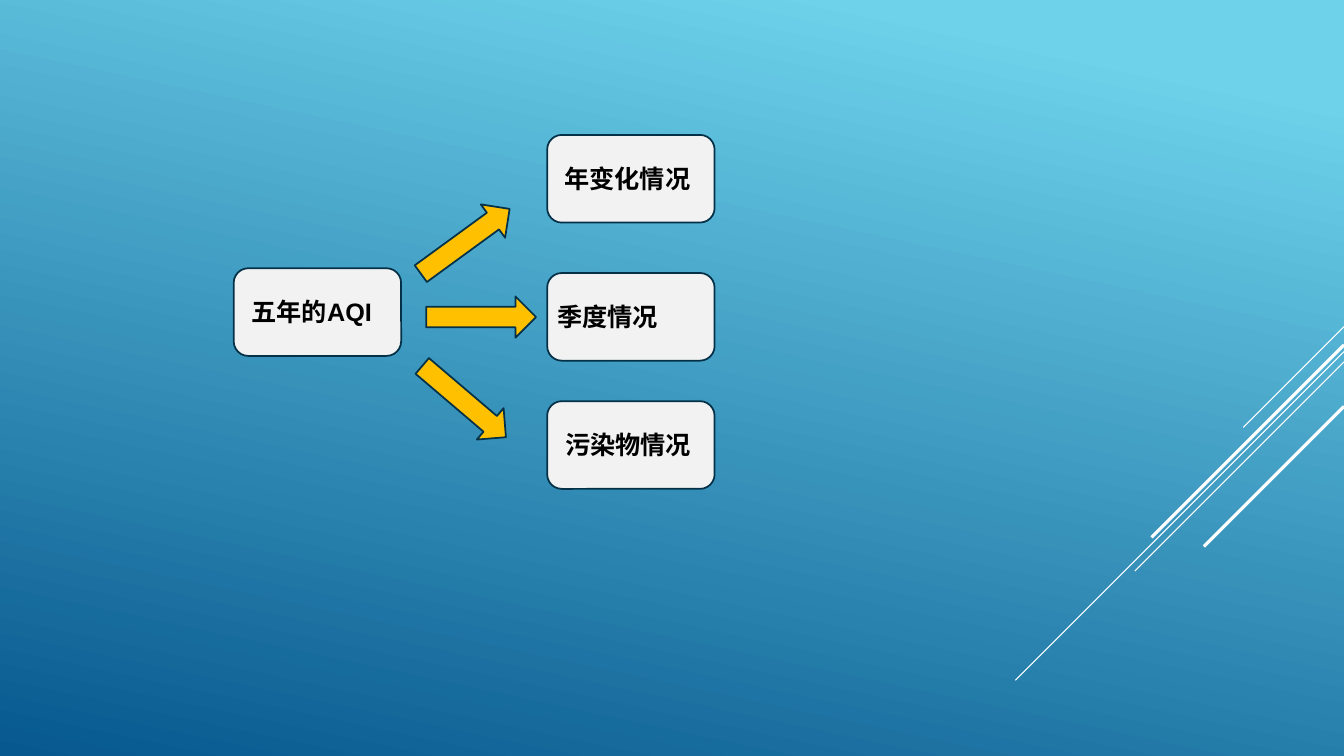
from lxml import etree
from pptx import Presentation
from pptx.dml.color import RGBColor
from pptx.enum.shapes import MSO_CONNECTOR, MSO_SHAPE
from pptx.enum.text import MSO_AUTO_SIZE
from pptx.oxml.ns import qn
from pptx.util import Cm, Pt

ARROW = MSO_SHAPE.RIGHT_ARROW
ROUND = MSO_SHAPE.ROUNDED_RECTANGLE
LINE = MSO_CONNECTOR.STRAIGHT
GROW = MSO_AUTO_SIZE.SHAPE_TO_FIT_TEXT

SKY = RGBColor(0x6E, 0xD2, 0xEB)
DEEP = RGBColor(0x06, 0x58, 0x8E)
WHITE = RGBColor(0xFF, 0xFF, 0xFF)
BLACK = RGBColor(0, 0, 0)
GOLD = RGBColor(0xFF, 0xC0, 0x00)
PALE = RGBColor(0xF2, 0xF2, 0xF2)
NAVY = RGBColor(0x04, 0x31, 0x48)

WIDE, HIGH = 33.87, 19.05
LEFT, RIGHT = 5.89, 13.79

STREAKS = [(8.23, 2.54, 0.75), (8.86, 8.28, 0.75), (9.12, 5.27, 0.75),
           (8.69, 4.85, 2.25), (10.24, 3.53, 2.25)]
ARROWS = [(10.34, 5.56, 323.9), (10.74, 7.47, 0), (10.31, 9.6, 40.4)]
CARDS = [(LEFT, 6.76, 0.2, 3.84, "五年的AQI", "Arial"),
         (RIGHT, 3.4, 0.18, 3.78, "年变化情况", "Quicksand"),
         (RIGHT, 6.88, 0, 4.67, "季度情况", "Quicksand"),
         (RIGHT, 10.11, 0.2, 3.78, "污染物情况", "Quicksand")]


def paint(slide):
    """Fill the background with a slanted blue gradient."""
    fill = slide.background.fill
    fill.gradient()
    fill.gradient_angle = 258
    for stop, (place, color) in zip(fill.gradient_stops, [(0.1, SKY), (1, DEEP)]):
        stop.position = place
        stop.color.rgb = color


def add_streak(shapes, top, span, weight):
    """Draw a diagonal white line down from the right edge."""
    line = shapes.add_connector(LINE, Cm(WIDE), Cm(top), Cm(WIDE - span), Cm(top + span))
    line.line.color.rgb = WHITE
    line.line.width = Pt(weight)
    etree.SubElement(line._element.spPr, qn("a:effectLst"))


def add_block(shapes, kind, left, top, width, height, color):
    """Add a filled shape with a navy outline."""
    block = shapes.add_shape(kind, Cm(left), Cm(top), Cm(width), Cm(height))
    block.shadow.inherit = False
    block.fill.solid()
    block.fill.fore_color.rgb = color
    block.line.color.rgb = NAVY
    block.line.width = Pt(1.25)
    return block


def add_card(shapes, left, top, shift, width, text, font):
    """Group a rounded card with its bold label."""
    group = shapes.add_group_shape()
    add_block(group.shapes, ROUND, left, top, 4.22, 2.21, PALE)
    label = group.shapes.add_textbox(Cm(left + shift), Cm(top + 0.59), Cm(width), Cm(1.02))
    frame = label.text_frame
    frame.word_wrap = True
    frame.auto_size = GROW
    run = frame.paragraphs[0].add_run()
    run.text = text
    run.font.name = font
    run.font.size = Pt(18)
    run.font.bold = True
    run.font.color.rgb = BLACK


def main():
    """Build and save the slide."""
    deck = Presentation()
    deck.slide_width, deck.slide_height = Cm(WIDE), Cm(HIGH)
    slide = deck.slides.add_slide(deck.slide_layouts[6])
    paint(slide)
    for streak in STREAKS:
        add_streak(slide.shapes, *streak)
    for left, top, turn in ARROWS:
        add_block(slide.shapes, ARROW, left, top, 2.77, 1.04, GOLD).rotation = turn
    for card in CARDS:
        add_card(slide.shapes, *card)
    deck.save("out.pptx")


if __name__ == "__main__":
    main()
